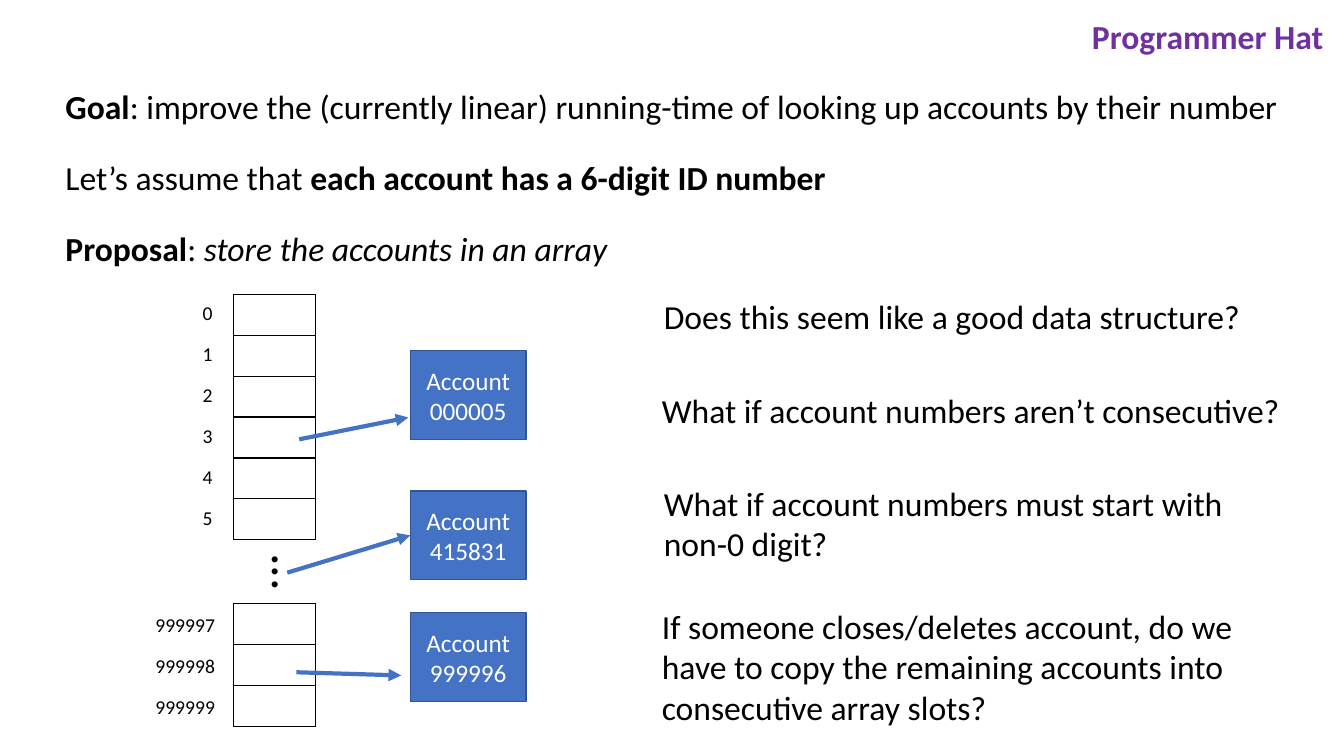
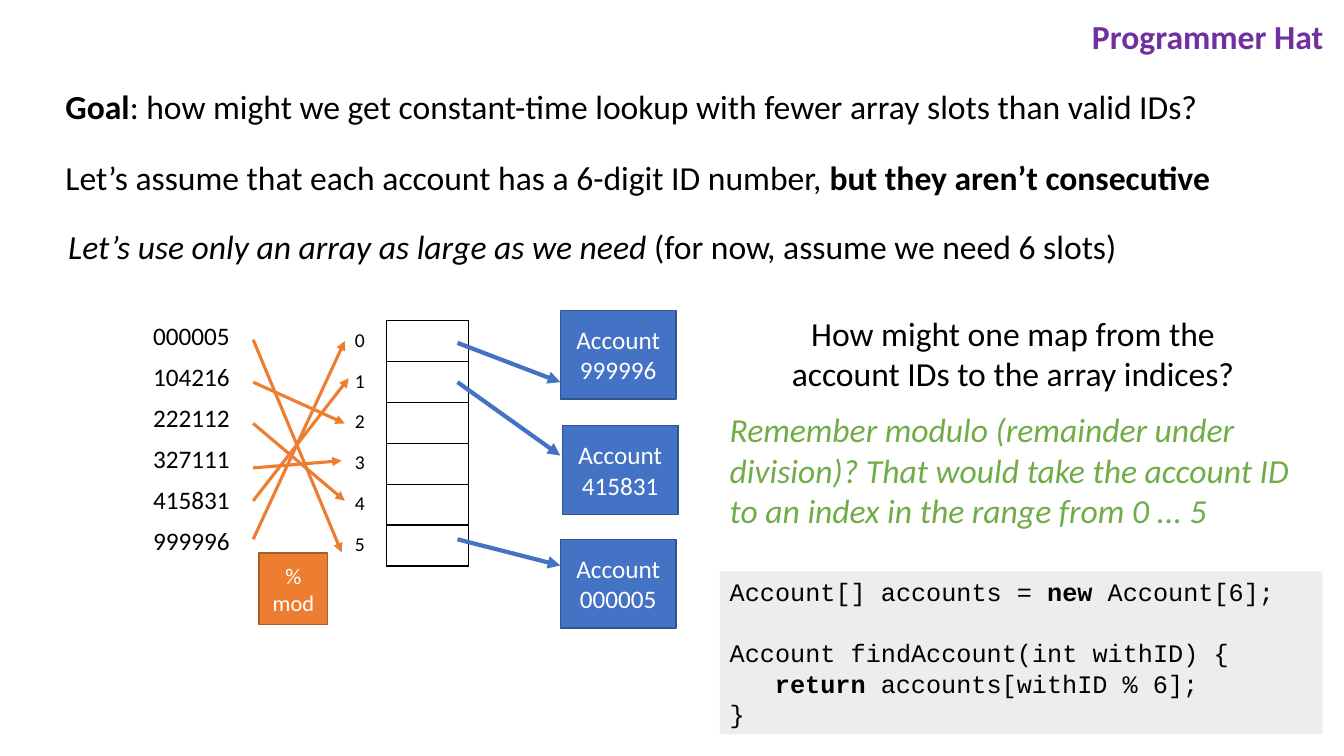
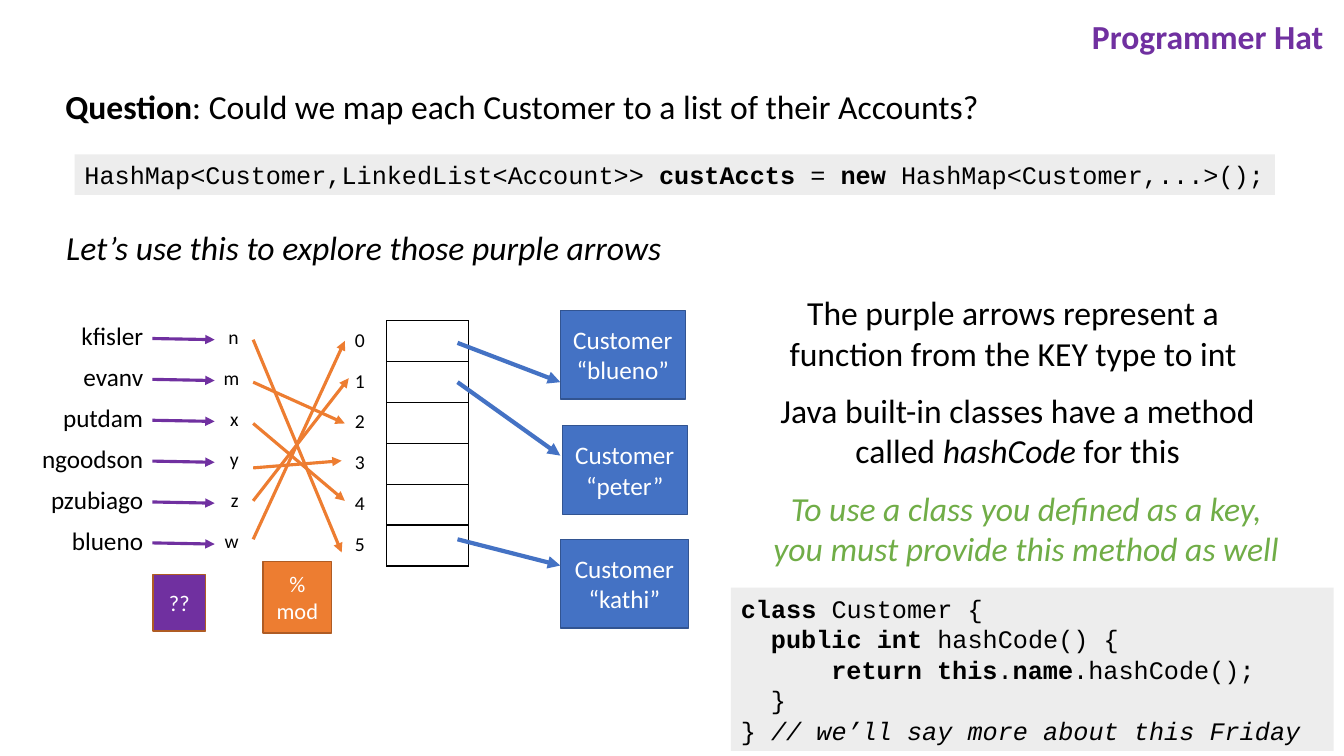
import pptx
import pptx.util
import pptx.dml.color
import pptx.enum.shapes
import pptx.enum.text
import pptx.oxml.ns
import lxml.etree

Cm = pptx.util.Cm
Pt = pptx.util.Pt
ALIGN = pptx.enum.text.PP_ALIGN
ANCHOR = pptx.enum.text.MSO_ANCHOR

COLORS = {
    "black": "000000",
    "white": "FFFFFF",
    "purple": "7030A0",
    "green": "70AD47",
    "blue": "4472C4",
    "blue edge": "325491",
    "orange": "ED7D31",
    "orange edge": "AF5C24",
    "gray": "EDEDED",
}
ROW = 1.03
SLOT_WIDTH = 2.06
INDEX_WIDTH = 0.58
CODE_LINE = Pt(21.8)
CODE_CHARACTER = 0.38


def color(name):
    return pptx.dml.color.RGBColor.from_string(COLORS[name])


def set_values(target, values):
    for name, value in values.items():
        setattr(target, name, value)


def add_child(parent, tag, **attributes):
    return lxml.etree.SubElement(parent, pptx.oxml.ns.qn(tag), attributes)


class Lecture:
    def __init__(self):
        self.deck = pptx.Presentation()
        set_values(self.deck, {"slide_width": Cm(33.87), "slide_height": Cm(19.05)})
        self.page = None

    def new_page(self):
        self.page = self.deck.slides.add_slide(self.deck.slide_layouts[6])
        self.text(27.2, 0.28, 6.4, 1.27, "*Programmer Hat*", ink="purple", align=ALIGN.RIGHT)

    def add_spans(self, para, text, size=24, ink="black", align=ALIGN.LEFT, font="Calibri"):
        para.alignment = align
        for bold_index, section in enumerate(text.split("*")):
            for italic_index, piece in enumerate(section.split("_")):
                if piece:
                    span = para.add_run()
                    span.text = piece
                    set_values(span.font, {
                        "name": font,
                        "size": Pt(size),
                        "bold": bold_index % 2 == 1,
                        "italic": italic_index % 2 == 1,
                    })
                    span.font.color.rgb = color(ink)

    def add_lines(self, frame, lines, **style):
        for index, line in enumerate(lines):
            para = frame.add_paragraph() if index else frame.paragraphs[0]
            self.add_spans(para, line, **style)

    def text(self, left, top, width, height, text, wrap=False, rotation=0, **style):
        box = self.page.shapes.add_textbox(Cm(left), Cm(top), Cm(width), Cm(height))
        box.rotation = rotation
        set_values(box.text_frame, {
            "word_wrap": wrap,
            "auto_size": pptx.enum.text.MSO_AUTO_SIZE.SHAPE_TO_FIT_TEXT,
        })
        self.add_spans(box.text_frame.paragraphs[0], text, **style)

    def box(self, left, top, width, height, fill, edge=None):
        box = self.page.shapes.add_shape(
            pptx.enum.shapes.MSO_SHAPE.RECTANGLE, Cm(left), Cm(top), Cm(width), Cm(height))
        box.shadow.inherit = False
        box.fill.solid()
        box.fill.fore_color.rgb = color(fill)
        if edge:
            box.line.color.rgb = color(edge)
            box.line.width = Pt(1)
        else:
            box.line.fill.background()
        box.text_frame.word_wrap = True
        return box

    def label_box(self, left, top, width, height, lines, fill="blue", edge="blue edge", size=18):
        box = self.box(left, top, width, height, fill, edge)
        box.text_frame.vertical_anchor = ANCHOR.MIDDLE
        self.add_lines(box.text_frame, lines, size=size, ink="white", align=ALIGN.CENTER)

    def code(self, left, top, width, height, lines):
        frame = self.box(left, top, width, height, "gray").text_frame
        frame.vertical_anchor = ANCHOR.TOP
        self.add_lines(frame, [text for _, _, text in lines], size=18, font="Courier New")
        for para, (indent, blank_lines, _) in zip(frame.paragraphs, lines):
            set_values(para, {
                "line_spacing": CODE_LINE,
                "space_before": CODE_LINE * blank_lines,
            })
            margin = Cm(indent * CODE_CHARACTER)
            para._p.get_or_add_pPr().set("marL", str(margin))

    def column(self, left, top, width, texts, border=False, size=14, align=ALIGN.RIGHT):
        table = self.page.shapes.add_table(
            len(texts), 1, Cm(left), Cm(top), Cm(width), Cm(ROW * len(texts))).table
        set_values(table, {"first_row": False, "horz_banding": False})
        for row, text in zip(table.rows, texts):
            row.height = Cm(ROW)
            cell = row.cells[0]
            self.edge_cell(cell, border)
            cell.fill.background()
            self.add_spans(cell.text_frame.paragraphs[0], text, size=size, align=align)

    def edge_cell(self, cell, border):
        properties = cell._tc.get_or_add_tcPr()
        for side in ("a:lnL", "a:lnR", "a:lnT", "a:lnB"):
            edge = add_child(properties, side, w=str(Pt(1)))
            if border:
                add_child(add_child(edge, "a:solidFill"), "a:srgbClr", val=COLORS["black"])
            else:
                add_child(edge, "a:noFill")

    def slots(self, left, top, count):
        self.column(left, top, SLOT_WIDTH, [""] * count, border=True)

    def arrow(self, start_x, start_y, end_x, end_y, ink="blue", width=3):
        arrow = self.page.shapes.add_connector(
            pptx.enum.shapes.MSO_CONNECTOR.STRAIGHT,
            Cm(start_x), Cm(start_y), Cm(end_x), Cm(end_y))
        arrow.line.color.rgb = color(ink)
        arrow.line.width = Pt(width)
        add_child(arrow.line._get_or_add_ln(), "a:tailEnd", type="triangle")
        add_child(arrow._element.spPr, "a:effectLst")

    def hash_diagram(self, key_left, keys, values):
        for start_y, end_x, end_y in [
            (8.56, 8.61, 13.92), (9.63, 8.69, 10.67), (10.67, 8.69, 12.62),
            (11.79, 8.61, 11.61), (13.59, 8.69, 8.59), (12.62, 8.79, 9.53),
        ]:
            self.arrow(6.38, start_y, end_x, end_y, "orange", 2.25)
        self.slots(9.75, 8.08, 6)
        self.column(8.69, 8.15, INDEX_WIDTH, INDICES)
        self.column(key_left, 7.98, 3.53, keys, size=18)
        places = [(14.12, 7.82), (14.17, 10.72), (14.12, 13.59)]
        for (left, top), (width, lines) in zip(places, values):
            self.label_box(left, top, width, 2.24, lines)
        for start_y, end_y in [(8.64, 9.63), (9.63, 11.48), (13.59, 14.25)]:
            self.arrow(11.53, start_y, 14.12, end_y)

    def modulo_box(self, left, top):
        self.label_box(left, top, 1.73, 1.8, ["%", "mod"], "orange", "orange edge", 16)


INDICES = [str(index) for index in range(6)]
lecture = Lecture()

lecture.new_page()
lecture.text(1.4, 2.03, 31.14, 1.27,
             "*Goal*: improve the (currently linear) running-time of looking up accounts by their number")
lecture.text(1.4, 3.84, 19.84, 1.27,
             "Let’s assume that *each account has a 6-digit ID number*")
lecture.text(1.4, 5.61, 14.2, 1.27, "*Proposal*: _store the accounts in an array_")
lecture.slots(5.89, 7.42, 6)
lecture.slots(5.89, 15.21, 3)
lecture.column(4.85, 7.49, INDEX_WIDTH, INDICES)
lecture.column(3.66, 15.34, SLOT_WIDTH, ["999997", "999998", "999999"], align=ALIGN.LEFT)
lecture.text(6.6, 13.54, 1.5, 1.8, "...", rotation=90, size=36)
for top, number in [(8.84, "000005"), (12.37, "415831"), (15.44, "999996")]:
    lecture.label_box(10.34, top, 2.92, 2.24, ["Account", number])
lecture.arrow(7.54, 11.07, 10.29, 10.52)
lecture.arrow(7.24, 14.43, 10.34, 13.49)
lecture.arrow(7.47, 16.94, 10.11, 17.02)
lecture.text(16.48, 7.32, 15.16, 1.27, "Does this seem like a good data structure?")
lecture.text(16.43, 9.7, 16.23, 1.27, "What if account numbers aren’t consecutive?")
lecture.text(16.48, 12.04, 15.52, 2.31,
             "What if account numbers must start with non-0 digit?", wrap=True)
lecture.text(16.43, 15.14, 16.23, 3.33,
             "If someone closes/deletes account, do we have to copy the remaining accounts "
             "into consecutive array slots?", wrap=True)

lecture.new_page()
lecture.text(1.4, 2.03, 29.29, 1.27,
             "*Goal*: how might we get constant-time lookup with fewer array slots than valid IDs?")
lecture.text(1.4, 3.84, 29.9, 1.27,
             "Let’s assume that each account has a 6-digit ID number, *but they aren’t consecutive*")
lecture.text(1.47, 5.56, 27.2, 1.27,
             "_Let’s use only an array as large as we need _(for now, assume we need 6 slots)")
lecture.hash_diagram(
    2.51,
    ["000005", "104216", "222112", "327111", "415831", "999996"],
    [(2.92, ["Account", number]) for number in ("999996", "415831", "000005")])
lecture.modulo_box(6.53, 13.94)
lecture.text(19.41, 7.75, 12.24, 2.31,
             "How might one map from the account IDs to the array indices?",
             wrap=True, align=ALIGN.CENTER)
lecture.text(18.14, 10.19, 14.96, 3.33,
             "_Remember modulo (remainder under division)? That would take the account ID "
             "to an index in the range from 0 ... 5_", wrap=True, ink="green")
lecture.code(18.14, 14.4, 15.19, 4.11, [
    (0, 0, "Account[] accounts = *new* Account[6];"),
    (0, 1, "Account findAccount(int withID) {"),
    (3, 0, "*return* accounts[withID % 6];"),
    (0, 0, "}"),
])

lecture.new_page()
lecture.text(1.4, 2.03, 23.85, 1.27,
             "*Question*: Could we map each Customer to a list of their Accounts?")
lecture.code(1.88, 3.89, 30.25, 1.02, [
    (0, 0, "HashMap<Customer,LinkedList<Account>> *custAccts *= *new *HashMap<Customer,...>();"),
])
lecture.text(1.42, 5.59, 15.67, 1.27, "_Let’s use this to explore those purple arrows_")
lecture.hash_diagram(
    0.33,
    ["kfisler", "evanv", "putdam", "ngoodson", "pzubiago", "blueno"],
    [(3.15, ["Customer", "“blueno”"]),
     (3.15, ["Customer", "“peter”"]),
     (3.23, ["Customer", "“kathi”"])])
lecture.column(5.38, 8.08, 0.89, list("nmxyzw"))
for index in range(6):
    arrow_top = 8.53 + ROW * index
    lecture.arrow(3.84, arrow_top, 5.41, arrow_top + 0.03, "purple", 2.25)
lecture.label_box(3.86, 14.48, 1.32, 1.42, ["??"], "purple", "orange edge", 16)
lecture.modulo_box(6.63, 14.15)
lecture.text(19.41, 7.24, 12.24, 2.31,
             "The purple arrows represent a function from the KEY type to int",
             wrap=True, align=ALIGN.CENTER)
lecture.text(19.41, 9.7, 12.47, 2.31,
             "Java built-in classes have a method called _hashCode_ for this",
             wrap=True, align=ALIGN.CENTER)
lecture.text(19.08, 12.17, 13.56, 2.31,
             "_To use a class you defined as a key, you must provide this method as well_",
             wrap=True, ink="green", align=ALIGN.CENTER)
lecture.code(18.42, 14.81, 15.19, 4.11, [
    (0, 0, "*class *Customer {"),
    (2, 0, "*public int *hashCode() {"),
    (6, 0, "*return this*.*name*.hashCode();"),
    (2, 0, "}"),
    (0, 0, "} _// we’ll say more about this Friday_"),
])

lecture.deck.save("out.pptx")
